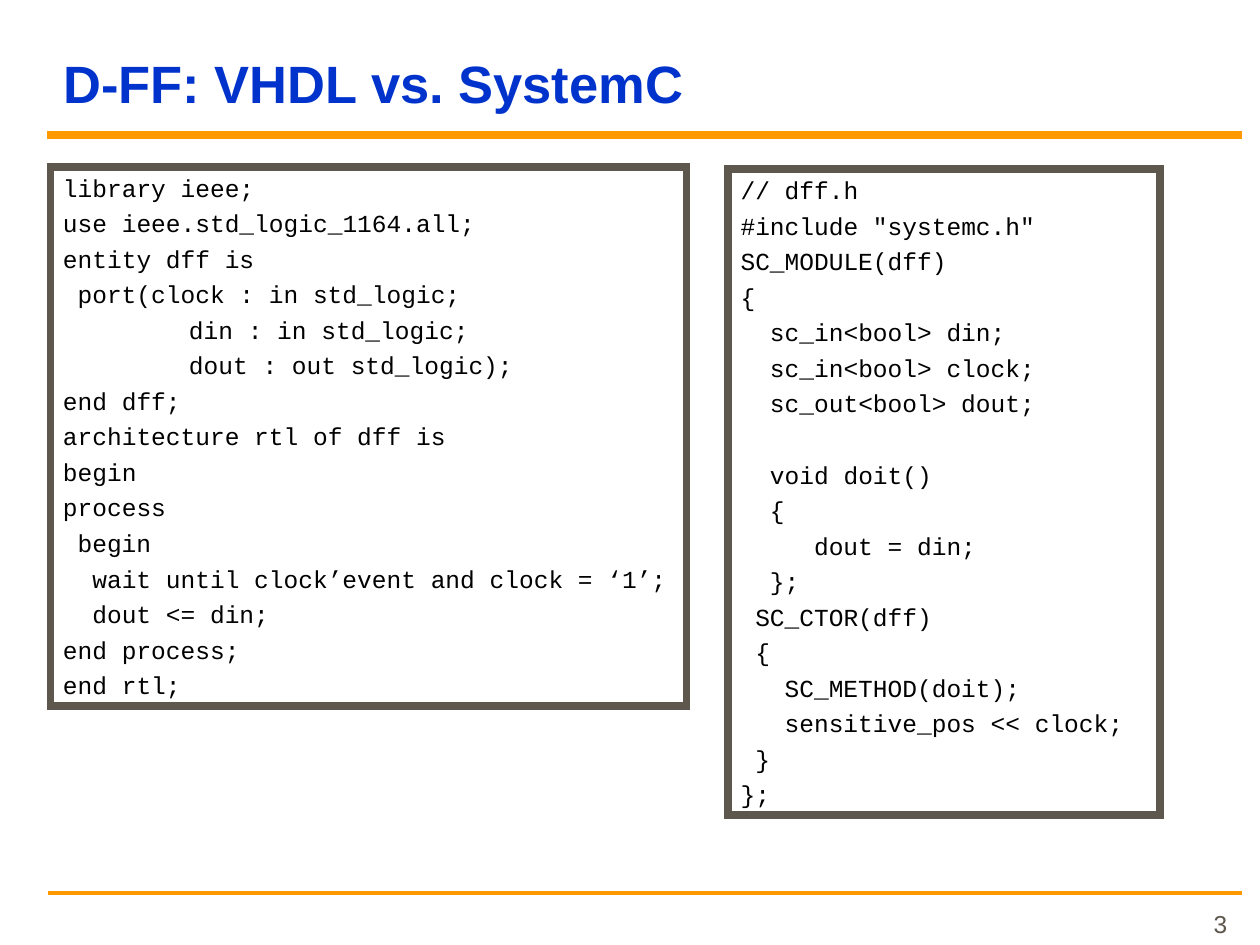
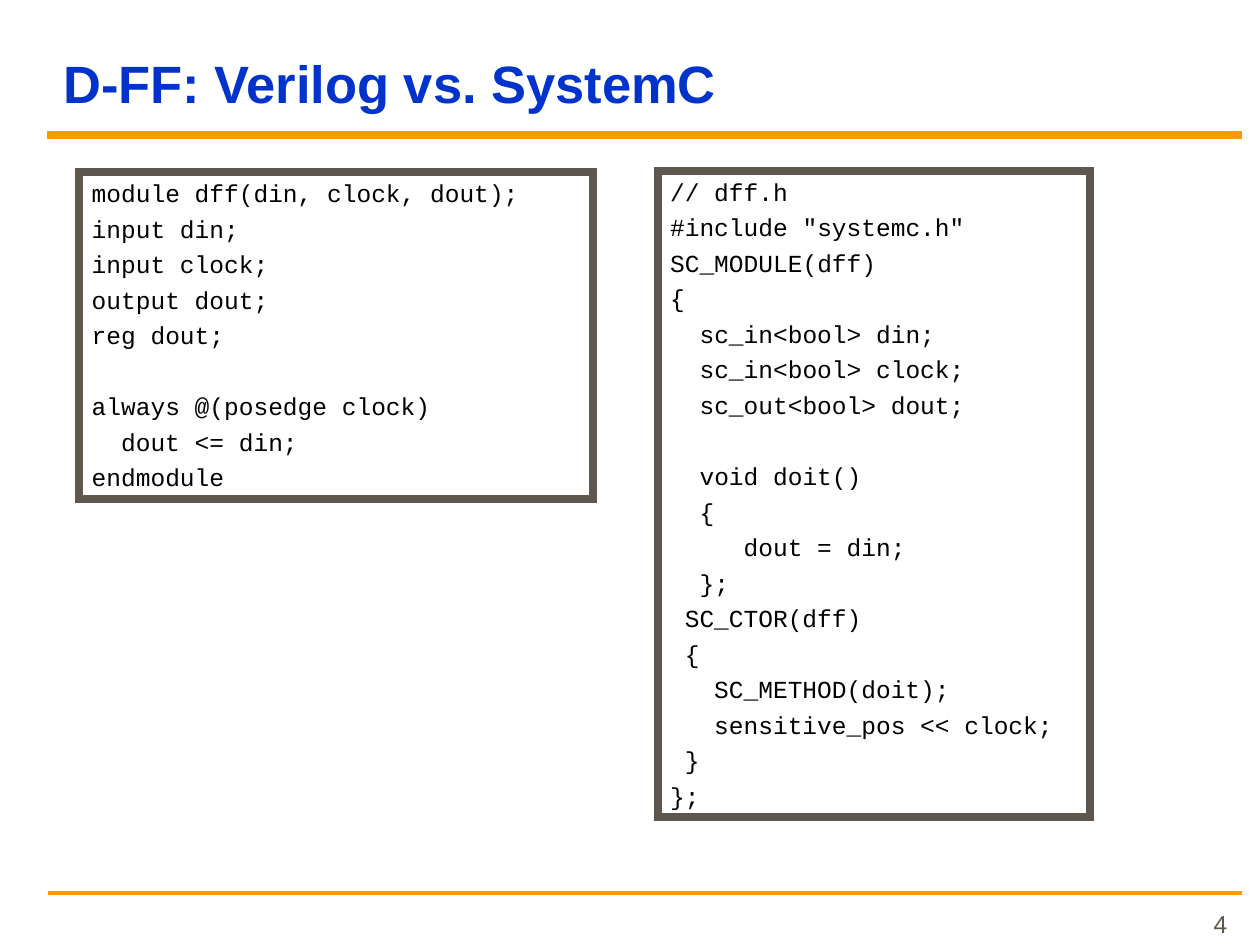
from pptx import Presentation
from pptx.dml.color import RGBColor
from pptx.enum import shapes, text
from pptx.oxml import xmlchemy
from pptx.util import Cm, Pt

BLUE = RGBColor(0x00, 0x33, 0xCC)
ORANGE = RGBColor(0xFF, 0x99, 0x00)
GREY = RGBColor(0x5E, 0x57, 0x4E)
BLACK = RGBColor(0, 0, 0)

SIZE = 14
CHAR = 0.6 * SIZE
TAB = 72
GAP = 3.5
PITCH = 20.3

VHDL = """library ieee;
use ieee.std_logic_1164.all;
entity dff is
 port(clock : in std_logic;
\tdin : in std_logic;
\tdout : out std_logic);
end dff;
architecture rtl of dff is
begin
process
 begin
  wait until clock’event and clock = ‘1’;
  dout <= din;
end process;
end rtl;"""

VERILOG = """module dff(din, clock, dout);
input din;
input clock;
output dout;
reg dout;

always @(posedge clock)
  dout <= din;
endmodule"""

SYSTEMC = """// dff.h
#include "systemc.h"
SC_MODULE(dff)
{
  sc_in<bool> din;
  sc_in<bool> clock;
  sc_out<bool> dout;

  void doit()
  {
     dout = din;
  };
 SC_CTOR(dff)
 {
   SC_METHOD(doit);
   sensitive_pos << clock;
 }
};"""


def style(par, size, name, color, bold=False):
    for run in par.runs:
        font = run.font
        font.size = Pt(size)
        font.name = name
        font.bold = bold
        font.color.rgb = color


def add_rule(slide, left, top, width):
    rule = slide.shapes.add_connector(
        shapes.MSO_CONNECTOR.STRAIGHT, Cm(left), Cm(top), Cm(25.04), Cm(top))
    rule.line.color.rgb = ORANGE
    rule.line.width = Pt(width)
    rule._element.spPr.append(xmlchemy.OxmlElement("a:effectLst"))


def add_title(slide, words):
    title = slide.shapes.title
    title.left, title.top = Cm(1.02), Cm(0.46)
    title.width, title.height = Cm(24.03), Cm(1.96)
    frame = title.text_frame
    frame.text = words
    frame.auto_size = text.MSO_AUTO_SIZE.NONE
    frame.vertical_anchor = text.MSO_ANCHOR.BOTTOM
    par = frame.paragraphs[0]
    par.alignment = text.PP_ALIGN.LEFT
    style(par, 30, "Arial", BLUE, True)


def add_number(slide, number):
    box = slide.shapes.add_textbox(Cm(18.92), Cm(18.06), Cm(6.07), Cm(0.99))
    frame = box.text_frame
    frame.word_wrap = True
    frame.vertical_anchor = text.MSO_ANCHOR.BOTTOM
    frame.text = str(number)
    par = frame.paragraphs[0]
    par.alignment = text.PP_ALIGN.RIGHT
    style(par, SIZE, "Arial", GREY)


def indent(par, line):
    lead = line[:len(line) - len(line.lstrip())]
    points = TAB * lead.count("\t") + CHAR * lead.count(" ")
    par._p.get_or_add_pPr().set("marL", str(Pt(points)))


def add_frame(slide, left, top, width, height):
    box = slide.shapes.add_shape(
        shapes.MSO_SHAPE.RECTANGLE, Cm(left), Cm(top), Cm(width), Cm(height))
    box.shadow.inherit = False
    box.fill.background()
    box.line.color.rgb = GREY
    box.line.width = Pt(4.5)
    miter = xmlchemy.OxmlElement("a:miter")
    miter.set("lim", "800000")
    box.line._get_or_add_ln().append(miter)
    return box


def add_code(slide, code, *place):
    frame = add_frame(slide, *place).text_frame
    frame.word_wrap = True
    frame.vertical_anchor = text.MSO_ANCHOR.TOP
    blocks = [block.split("\n") for block in code.split("\n\n")]
    lines = [(line, GAP + PITCH if row == 0 and part else GAP)
             for part, block in enumerate(blocks)
             for row, line in enumerate(block)]
    frame.text = "\n".join(line.strip() for line, gap in lines)
    for par, (line, gap) in zip(frame.paragraphs, lines):
        par.alignment = text.PP_ALIGN.LEFT
        par.space_before = Pt(gap)
        indent(par, line)
        style(par, SIZE, "Courier New", BLACK)


def add_page(deck, number, words, panels):
    slide = deck.slides.add_slide(deck.slide_layouts[5])
    add_rule(slide, 0.97, 18.01, 2.25)
    add_rule(slide, 0.94, 2.72, 4.5)
    add_title(slide, words)
    for panel in panels:
        add_code(slide, *panel)
    add_number(slide, number)


def main():
    deck = Presentation()
    deck.slide_width, deck.slide_height = Cm(25.4), Cm(19.05)
    pages = [
        ("D-FF: VHDL vs. SystemC",
         [(VHDL, 1.02, 3.36, 12.82, 10.87),
          (SYSTEMC, 14.68, 3.41, 8.71, 13.03)]),
        ("D-FF: Verilog vs. SystemC",
         [(VERILOG, 1.6, 3.47, 10.36, 6.59),
          (SYSTEMC, 13.26, 3.44, 8.71, 13.03)]),
    ]
    for number, (words, panels) in enumerate(pages, 3):
        add_page(deck, number, words, panels)
    deck.save("out.pptx")


if __name__ == "__main__":
    main()
